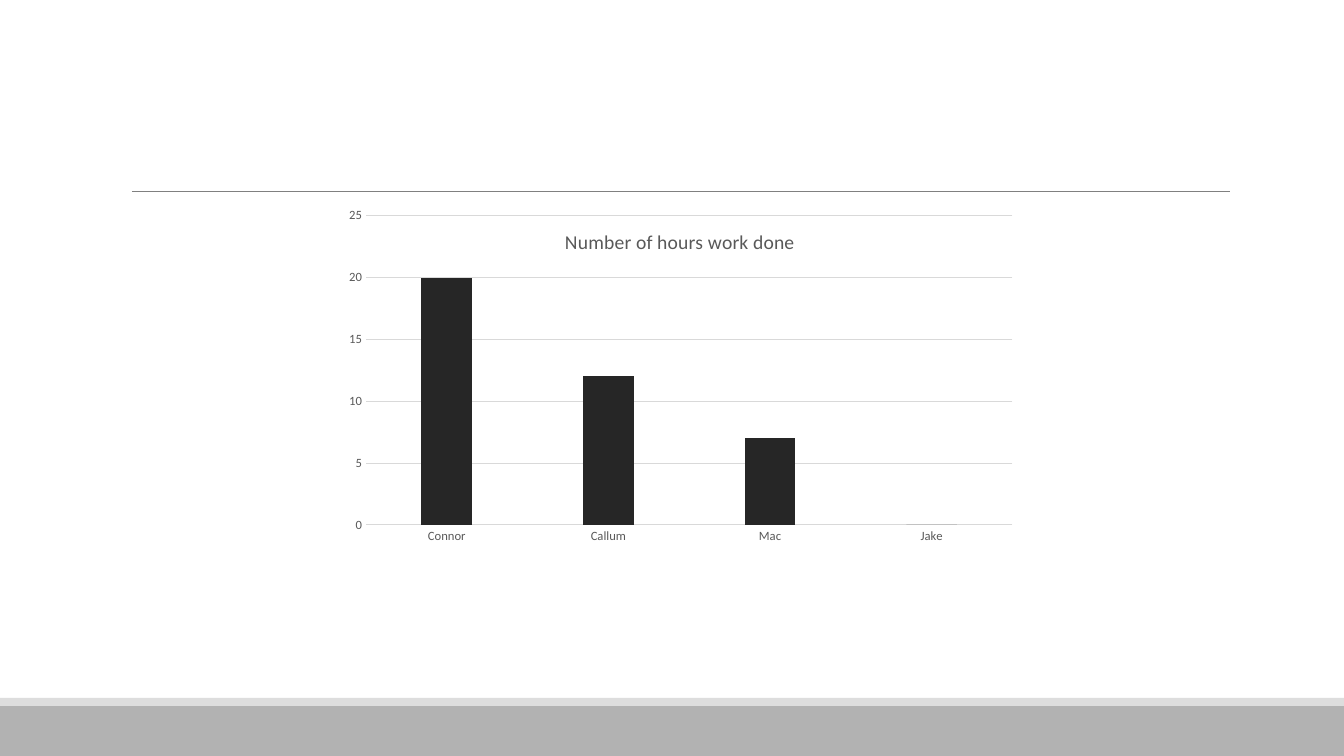
"""Build a slide with a column chart of the hours each person worked."""
from lxml import etree
from pptx import Presentation
from pptx import util as u
from pptx.chart.data import CategoryChartData
from pptx.dml.color import RGBColor
from pptx.enum import chart as charts, shapes
from pptx.oxml import parse_xml
from pptx.oxml.ns import nsdecls, qn

TITLE = "Number of hours work done"
SERIES = "Series 1"
HOURS = {"Connor": 20, "Callum": 12, "Mac": 7, "Jake": 0}
FONT = "Calibri"
COLOURS = {"band": "B2B2B2", "strip": "DDDDDD", "rule": "808080",
           "bar": "262626", "grid": "D9D9D9", "label": "595959"}

WIDTH, HEIGHT = 1344, 756
BAND_HEIGHT, STRIP_HEIGHT = 50, 8
RULE_LEFT, RULE_RIGHT, RULE_TOP = 132, 1230, 191
CHART_BOX = (318, 205, 716, 429)
PLOT_LAYOUT = {"x": 0.067, "y": 0.025, "w": 0.903, "h": 0.721}
TITLE_LAYOUT = {"x": 0.34, "y": 0.045}


def px(length):
    return round(length * u.Inches(7.5) / HEIGHT)


def colour(name):
    return RGBColor.from_string(COLOURS[name])


def add_bar(slide, top, height, name):
    shape = slide.shapes.add_shape(shapes.MSO_SHAPE.RECTANGLE, 0, px(top), px(WIDTH), px(height))
    shape.shadow.inherit = False
    shape.fill.solid()
    shape.fill.fore_color.rgb = colour(name)
    shape.line.fill.background()


def add_rule(slide):
    rule = slide.shapes.add_connector(shapes.MSO_CONNECTOR.STRAIGHT, px(RULE_LEFT),
                                      px(RULE_TOP), px(RULE_RIGHT), px(RULE_TOP))
    rule.line.color.rgb = colour("rule")
    rule.line.width = u.Pt(0.5)
    etree.SubElement(rule._element.spPr, qn("a:effectLst"))


def style_font(font, size):
    font.name = FONT
    font.size = u.Pt(size)
    font.bold = False
    font.color.rgb = colour("label")


def style_line(line):
    line.color.rgb = colour("grid")
    line.width = u.Pt(0.75)


def make_layout(places, inner=False):
    tags = '<c:layoutTarget val="inner"/>' if inner else ""
    tags += "".join(f'<c:{key}Mode val="edge"/>' for key in places if key in "xy")
    tags += "".join(f'<c:{key} val="{value}"/>' for key, value in places.items())
    return parse_xml(f'<c:layout {nsdecls("c")}><c:manualLayout>{tags}</c:manualLayout></c:layout>')


def place(element, layout, index):
    for old in element.findall(qn("c:layout")):
        element.remove(old)
    element.insert(index, layout)


def add_hours_chart(slide):
    data = CategoryChartData()
    data.categories = list(HOURS)
    data.add_series(SERIES, list(HOURS.values()))
    chart = slide.shapes.add_chart(charts.XL_CHART_TYPE.COLUMN_CLUSTERED,
                                   *map(px, CHART_BOX), data).chart
    chart.has_legend = False
    style_font(chart.font, 10)

    chart.has_title = True
    title = chart.chart_title
    title.text_frame.text = TITLE
    style_font(title.text_frame.paragraphs[0].runs[0].font, 14)
    title.include_in_layout = True
    place(title._element, make_layout(TITLE_LAYOUT), 1)
    place(chart._chartSpace.chart.plotArea, make_layout(PLOT_LAYOUT, inner=True), 0)

    plot = chart.plots[0]
    plot.vary_by_categories = False
    plot.gap_width = 219
    plot.overlap = -27
    fill = plot.series[0].format.fill
    fill.solid()
    fill.fore_color.rgb = colour("bar")

    for axis in (chart.category_axis, chart.value_axis):
        axis.major_tick_mark = axis.minor_tick_mark = charts.XL_TICK_MARK.NONE
        style_font(axis.tick_labels.font, 9)
    style_line(chart.category_axis.format.line)
    values = chart.value_axis
    values.format.line.fill.background()
    values.minimum_scale, values.maximum_scale, values.major_unit = 0, 25, 5
    style_line(values.major_gridlines.format.line)


def main():
    presentation = Presentation()
    presentation.slide_width, presentation.slide_height = px(WIDTH), px(HEIGHT)
    slide = presentation.slides.add_slide(presentation.slide_layouts[6])
    band_top = HEIGHT - BAND_HEIGHT
    add_bar(slide, band_top, BAND_HEIGHT, "band")
    add_bar(slide, band_top - STRIP_HEIGHT, STRIP_HEIGHT, "strip")
    add_rule(slide)
    add_hours_chart(slide)
    presentation.save("out.pptx")


if __name__ == "__main__":
    main()
